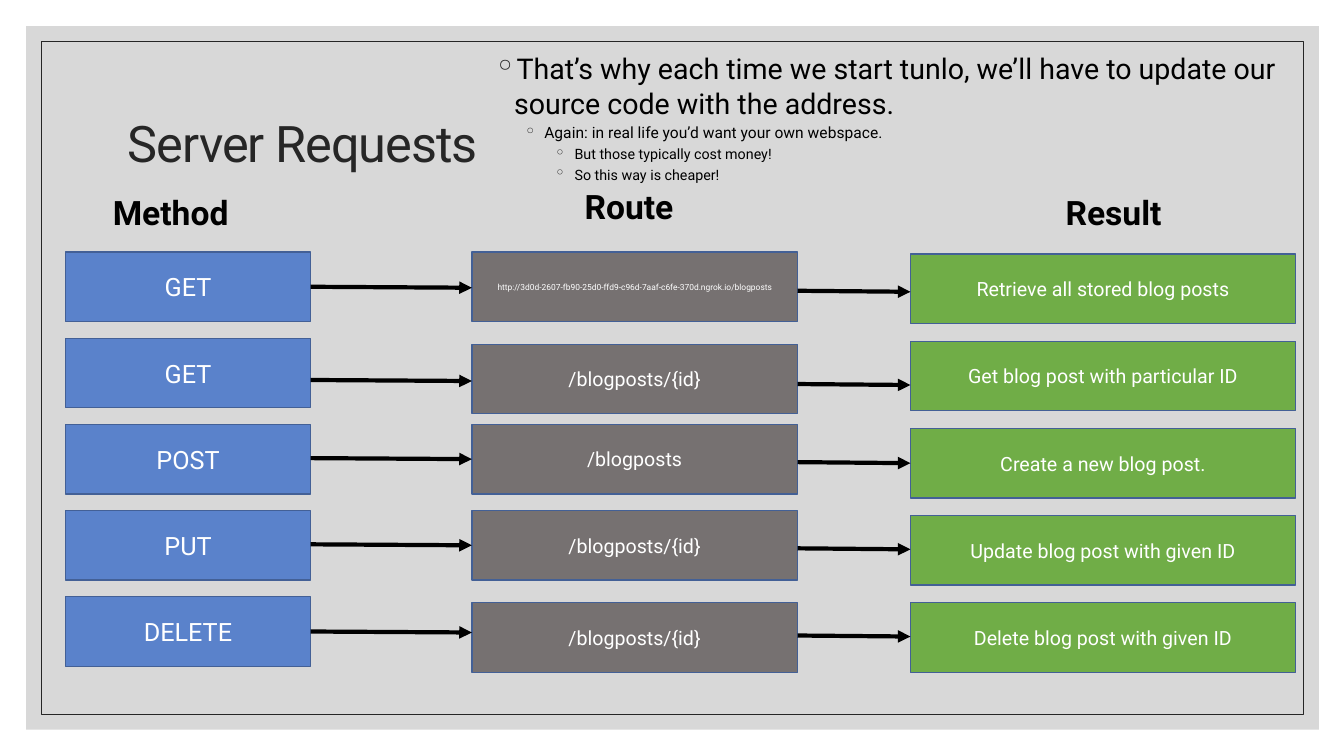
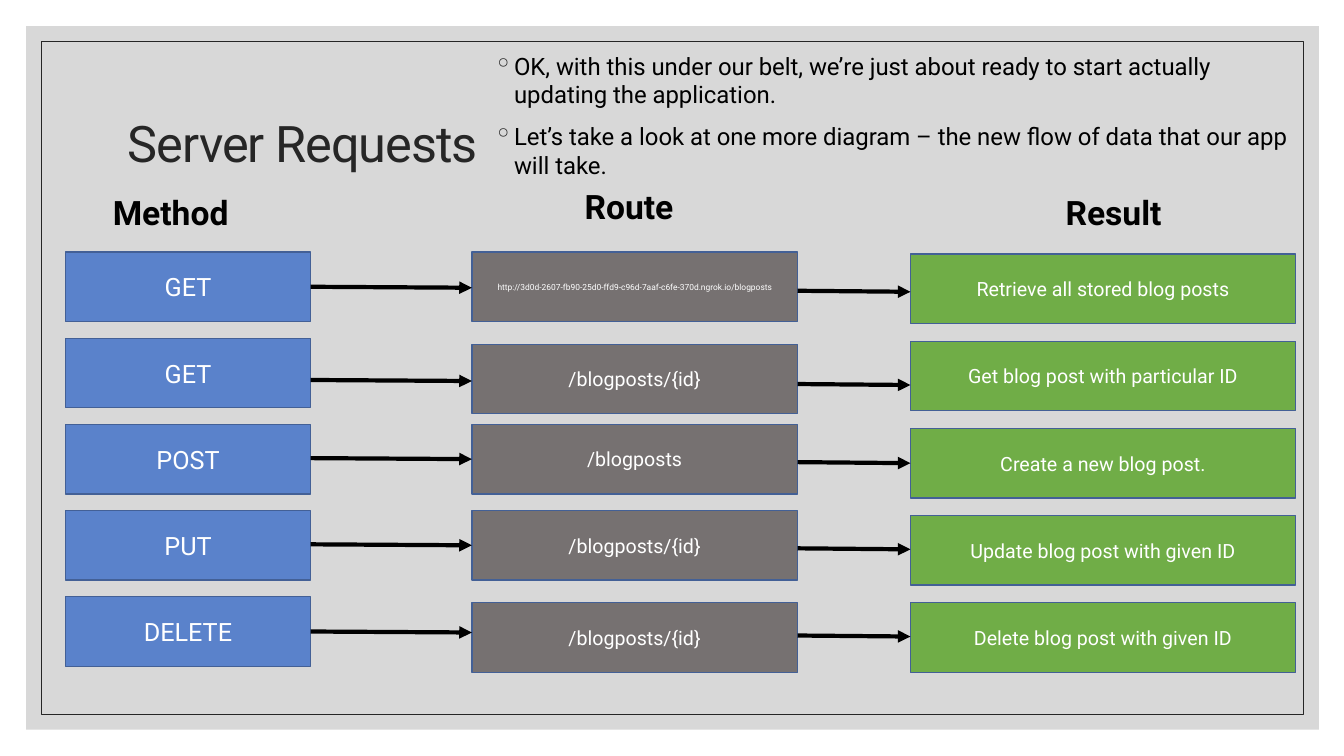
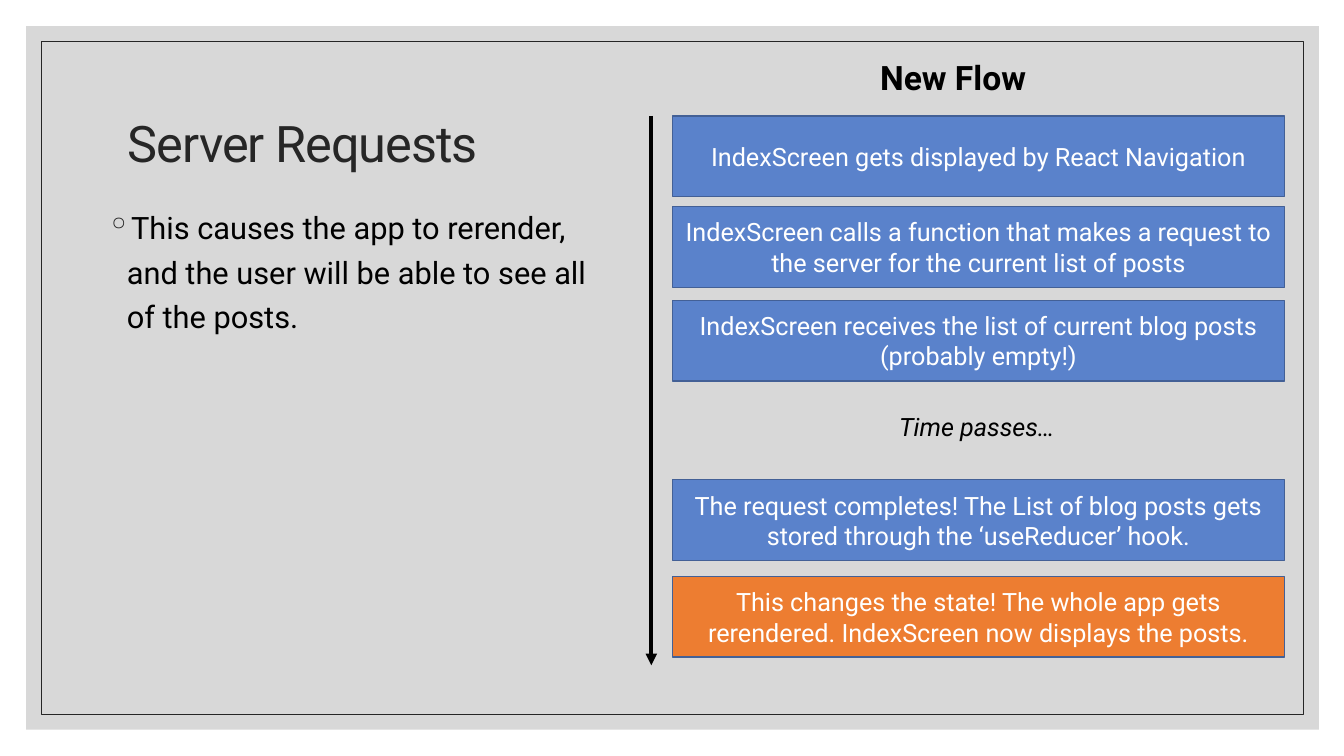
from typing import NamedTuple

from lxml import etree
from pptx import Presentation
from pptx.dml.color import RGBColor
from pptx.enum.shapes import MSO_CONNECTOR, MSO_SHAPE
from pptx.enum.text import MSO_ANCHOR, MSO_AUTO_SIZE, PP_ALIGN
from pptx.oxml.ns import qn
from pptx.util import Inches, Pt

RECT = MSO_SHAPE.RECTANGLE
LINE = MSO_CONNECTOR.STRAIGHT
MIDDLE = MSO_ANCHOR.MIDDLE
CENTER = PP_ALIGN.CENTER
GROW = MSO_AUTO_SIZE.SHAPE_TO_FIT_TEXT

# Shared look
WIDE, HIGH = 13.33, 7.5
FONT = "Roboto"
BLACK, WHITE, INK = "000000", "FFFFFF", "262626"
BLUE, GRAY, GREEN, ORANGE, EDGE = "5A82CB", "767171", "70AD47", "ED7D31", "436096"
BAND = "BFBFBF"
HEAD = {"size": Pt(24), "bold": True}
NOTE = {"size": Pt(18), "italic": True}

# Request diagram: rows share a pitch, some are nudged down
ROW_H = 0.69
ROW_TOP, PITCH = 2.5, 0.855
ARROW_NUDGE = (0, 0.07, -0.01, -0.01, 0)

# Flow diagram
STEP_X, STEP_W, STEP_H = 6.67, 6.07, 0.8


class Box(NamedTuple):
    x: float
    y: float
    w: float
    h: float


class Point(NamedTuple):
    text: str
    size: float
    level: int = 0
    space: float = 1.0
    before: float = 9


class Label(NamedTuple):
    text: str
    box: Box


class Column(NamedTuple):
    x: float
    w: float
    top: float
    pitch: float
    nudge: tuple[float, ...]
    fill: str
    size: float
    cells: tuple[str, ...]


class Step(NamedTuple):
    y: float
    text: str
    fill: str = BLUE


LABELS = (
    Label("Method", Box(1.02, 1.85, 1.49, 0.5)),
    Label("Route", Box(5.7, 1.8, 1.2, 0.5)),
    Label("Result", Box(10.47, 1.85, 1.29, 0.5)),
)
EVEN = (0, 0, 0, 0, 0)
URL = "http://3d0d-2607-fb90-25d0-ffd9-c96d-7aaf-c6fe-370d.ngrok.io/blogposts"
BY_ID = "/blogposts/{id}"
METHOD = Column(0.65, 2.43, ROW_TOP, PITCH, EVEN, BLUE, 18,
                ("GET", "GET", "POST", "PUT", "DELETE"))
ROUTE = Column(4.68, 3.23, ROW_TOP, PITCH, (0, 0.06, 0, 0, 0.06), GRAY, 14,
               (URL, BY_ID, "/blogposts", BY_ID, BY_ID))
RESULT = Column(9.03, 3.82, 2.52, 0.865, EVEN, GREEN, 14,
                ("Retrieve all stored blog posts",
                 "Get blog post with particular ID",
                 "Create a new blog post.",
                 "Update blog post with given ID",
                 "Delete blog post with given ID"))
COLUMNS = (METHOD, ROUTE, RESULT)

TOP_BODY = Box(4.8, 0.46, 8.12, 1.49)
SIDE_BODY = Box(0.96, 1.95, 5.05, 4.71)
ADDRESS = (
    Point("That’s why each time we start tunlo, we’ll have to update our "
          "source code with the address.", 20.4),
    Point("Again: in real life you’d want your own webspace.", 11.1, 1, 0.8, 5),
    Point("But those typically cost money!", 10.2, 2, 0.8, 5),
    Point("So this way is cheaper!", 10.2, 2, 0.8, 5),
)
READY = (
    Point("OK, with this under our belt, we’re just about ready to start "
          "actually updating the application.", 17.1),
    Point("Let’s take a look at one more diagram – the new flow of data that "
          "our app will take.", 17.1),
)
RENDER = (
    Point("This causes the app to rerender, and the user will be able to see "
          "all of the posts.", 22, space=1.2),
)
STEPS = (
    Step(1.15, "IndexScreen gets displayed by React Navigation"),
    Step(2.05, "IndexScreen calls a function that makes a request to the "
               "server for the current list of posts"),
    Step(2.98, "IndexScreen receives the list of current blog posts "
               "(probably empty!)"),
    Step(4.76, "The request completes! The List of blog posts gets stored "
               "through the ‘useReducer’ hook."),
    Step(5.72, "This changes the state! The whole app gets rerendered. "
               "IndexScreen now displays the posts.", ORANGE),
)


# Drawing helpers
def color(code: str) -> RGBColor:
    return RGBColor.from_string(code)


def place(box: Box) -> list:
    return [Inches(v) for v in box]


def write(para, text: str, ink: str, form: dict):
    run = para.add_run()
    run.text = text
    for name, value in {"name": FONT, **form}.items():
        setattr(run.font, name, value)
    run.font.color.rgb = color(ink)
    return run


def add_rect(slide, box: Box, fill: str = "", line: str = "", width: float = 1):
    rect = slide.shapes.add_shape(RECT, *place(box))
    rect.shadow.inherit = False
    if fill:
        rect.fill.solid()
        rect.fill.fore_color.rgb = color(fill)
    else:
        rect.fill.background()
    if line:
        rect.line.color.rgb = color(line)
        rect.line.width = Pt(width)
    else:
        rect.line.fill.background()
    return rect


def add_card(slide, box: Box, text: str, fill: str, size: float) -> None:
    frame = add_rect(slide, box, fill, EDGE).text_frame
    frame.word_wrap = True
    frame.vertical_anchor = MIDDLE
    para = frame.paragraphs[0]
    para.alignment = CENTER
    write(para, text, WHITE, {"size": Pt(size)})


def add_label(slide, label: Label, form: dict) -> None:
    frame = slide.shapes.add_textbox(*place(label.box)).text_frame
    frame.word_wrap = False
    frame.auto_size = GROW
    write(frame.paragraphs[0], label.text, BLACK, form)


def add_arrow(slide, x1: float, y1: float, x2: float, y2: float, width: float) -> None:
    ends = [Inches(v) for v in (x1, y1, x2, y2)]
    arrow = slide.shapes.add_connector(LINE, *ends)
    arrow.line.color.rgb = color(BLACK)
    arrow.line.width = Pt(width)
    etree.SubElement(arrow.line._get_or_add_ln(), qn("a:tailEnd"), type="triangle")
    etree.SubElement(arrow._element.spPr, qn("a:effectLst"))


def add_points(slide, box: Box, points: tuple[Point, ...]) -> None:
    frame = slide.shapes.add_textbox(*place(box)).text_frame
    frame.word_wrap = True
    for i, point in enumerate(points):
        para = frame.add_paragraph() if i else frame.paragraphs[0]
        props = para._p.get_or_add_pPr()
        props.set("marL", str(Inches(0.2 + 0.3 * point.level)))
        props.set("indent", str(Inches(-0.2)))
        tint = etree.SubElement(props, qn("a:buClr"))
        etree.SubElement(tint, qn("a:srgbClr"), val=INK)
        etree.SubElement(props, qn("a:buChar"), char="◦")
        para.level = point.level
        para.line_spacing = point.space
        if i:
            para.space_before = Pt(point.before)
        write(para, point.text, BLACK, {"size": Pt(point.size)})


# Slide parts
def add_base(deck):
    """Add a slide with the band, the thin frame and the title."""
    slide = deck.slides.add_slide(deck.slide_layouts[6])
    band = add_rect(slide, Box(0.26, 0.26, 12.82, 6.98), BAND)
    tint = band._element.spPr.find(".//" + qn("a:srgbClr"))
    etree.SubElement(tint, qn("a:alpha"), val="60000")
    add_rect(slide, Box(0.41, 0.41, 12.52, 6.68), line=INK, width=0.5)
    frame = slide.shapes.add_textbox(*place(Box(1.17, 0.7, 11, 1.5))).text_frame
    frame.word_wrap = True
    frame.vertical_anchor = MIDDLE
    para = frame.paragraphs[0]
    para.line_spacing = 0.9
    run = write(para, "Server Requests", INK, {"size": Pt(36)})
    run.font._element.set("spc", "-70")
    return slide


def add_routes(slide) -> None:
    for label in LABELS:
        add_label(slide, label, HEAD)
    for col in COLUMNS:
        for i, text in enumerate(col.cells):
            y = col.top + i * col.pitch + col.nudge[i]
            size = 6 if text == URL else col.size
            add_card(slide, Box(col.x, y, col.w, ROW_H), text, col.fill, size)
    for left, right, drop in ((METHOD, ROUTE, 0), (ROUTE, RESULT, 0.04)):
        for i, nudge in enumerate(ARROW_NUDGE):
            y = ROW_TOP + ROW_H / 2 + i * PITCH + nudge + drop
            add_arrow(slide, left.x + left.w, y, right.x, y + 0.01, 3)


def add_flow(slide) -> None:
    add_label(slide, Label("New Flow", Box(8.63, 0.52, 1.85, 0.5)), HEAD)
    for step in STEPS:
        add_card(slide, Box(STEP_X, step.y, STEP_W, STEP_H), step.text, step.fill, 18)
    add_label(slide, Label("Time passes…", Box(8.82, 4.03, 1.76, 0.4)), NOTE)
    add_arrow(slide, 6.46, STEPS[0].y, 6.46, 6.6, 2.75)


def main() -> None:
    deck = Presentation()
    deck.slide_width, deck.slide_height = Inches(WIDE), Inches(HIGH)
    for box, points, draw in (
        (TOP_BODY, ADDRESS, add_routes),
        (TOP_BODY, READY, add_routes),
        (SIDE_BODY, RENDER, add_flow),
    ):
        slide = add_base(deck)
        add_points(slide, box, points)
        draw(slide)
    deck.save("out.pptx")


if __name__ == "__main__":
    main()
